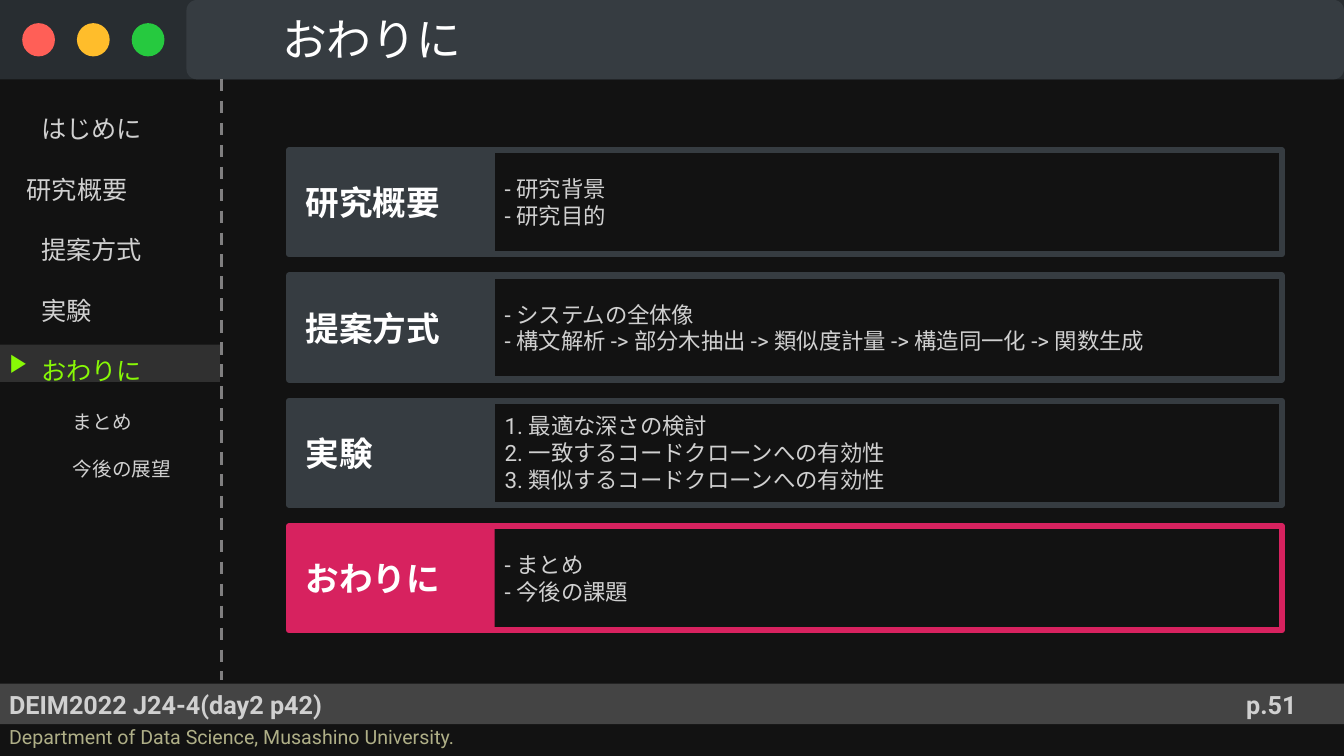
from dataclasses import dataclass
from typing import Optional

from pptx import Presentation
from pptx.dml.color import RGBColor
from pptx.enum.dml import MSO_LINE
from pptx.enum.shapes import MSO_CONNECTOR, MSO_SHAPE
from pptx.enum.text import MSO_ANCHOR, PP_ALIGN
from pptx.oxml.ns import qn
from pptx.util import Inches, Pt
from lxml.etree import SubElement


@dataclass(frozen=True)
class Theme:
    font: str = "Roboto"
    background: str = "121212"
    header: str = "282D31"
    panel: str = "363C41"
    footer: str = "444444"
    highlight: str = "303030"
    divider: str = "807F80"
    text: str = "D0D0D0"
    white: str = "FFFFFF"
    active: str = "88F906"
    accent: str = "D7225F"
    affiliation: str = "AFAF87"
    dots: tuple[str, ...] = ("FF5F57", "FFBD2B", "26C93F")
    title_size: int = 32
    label_size: int = 24
    main_size: int = 18
    body_size: int = 16
    small_size: int = 14


@dataclass(frozen=True)
class Box:
    """A place on the grid, in columns and rows."""
    column: float
    row: float
    columns: float
    rows: float


@dataclass(frozen=True)
class Line:
    """One paragraph; the indent is in columns."""
    text: str
    size: int
    color: str
    bold: bool = False
    indent: float = 0
    level: int = 0
    spacing: Optional[float] = None
    align: PP_ALIGN = PP_ALIGN.LEFT


@dataclass(frozen=True)
class Section:
    name: str
    points: tuple[str, ...]
    color: str
    outline: Optional[float] = 1


theme = Theme()
presentation = Presentation()
presentation.slide_width, presentation.slide_height = Inches(13.33), Inches(7.5)
slide = presentation.slides.add_slide(presentation.slide_layouts[6])
GRID_COLUMNS, GRID_ROWS = 160, 90


def across(columns: float) -> int:
    return round(presentation.slide_width * columns / GRID_COLUMNS)


def down(rows: float) -> int:
    return round(presentation.slide_height * rows / GRID_ROWS)


def place(box: Box) -> tuple[int, int, int, int]:
    return across(box.column), down(box.row), across(box.columns), down(box.rows)


def color_of(value: str) -> RGBColor:
    return RGBColor.from_string(value)


def write(shape, lines: list[Line], anchor: MSO_ANCHOR) -> None:
    frame = shape.text_frame
    frame.word_wrap = True
    frame.vertical_anchor = anchor
    for number, line in enumerate(lines):
        paragraph = frame.add_paragraph() if number else frame.paragraphs[0]
        paragraph.text = line.text
        paragraph.alignment = line.align
        paragraph.level = line.level
        if line.spacing:
            paragraph.line_spacing = line.spacing
        paragraph.font.name = theme.font
        paragraph.font.size = Pt(line.size)
        paragraph.font.bold = line.bold
        paragraph.font.color.rgb = color_of(line.color)
        properties = paragraph._p.get_or_add_pPr()
        properties.set("marL", str(across(line.indent)))
        properties.set("indent", "0")


def add_text(box: Box, lines: list[Line], anchor: MSO_ANCHOR = MSO_ANCHOR.TOP) -> None:
    write(slide.shapes.add_textbox(*place(box)), lines, anchor)


def add_block(box: Box, fill: Optional[str] = None, outline: Optional[str] = None,
              width: Optional[float] = None, kind: MSO_SHAPE = MSO_SHAPE.RECTANGLE):
    shape = slide.shapes.add_shape(kind, *place(box))
    shape.shadow.inherit = False
    if fill:
        shape.fill.solid()
        shape.fill.fore_color.rgb = color_of(fill)
    else:
        shape.fill.background()
    if outline and width:
        shape.line.color.rgb = color_of(outline)
        shape.line.width = Pt(width)
    else:
        shape.line.fill.background()
    return shape


def add_section(section: Section, row: float) -> None:
    height = 12.36
    add_block(Box(34.4, row, 118.2, height), outline=section.color, width=4.5)
    label = add_block(Box(34.2, row, 24.7, height), section.color, section.color, section.outline)
    write(label, [Line(section.name, theme.label_size, theme.white, True, 1)], MSO_ANCHOR.MIDDLE)
    body = add_block(Box(58.9, row, 93.4, height), outline=section.color, width=section.outline)
    write(body, [Line(point, theme.body_size, theme.text) for point in section.points],
          MSO_ANCHOR.MIDDLE)


# Background, footer and window bar
slide.background.fill.solid()
slide.background.fill.fore_color.rgb = color_of(theme.background)
add_block(Box(0, 81.4, 160, 4.8), theme.footer)
add_block(Box(0, 0, 160, 9.45), theme.header)
for number, dot_color in enumerate(theme.dots):
    add_block(Box(2.64 + 6.52 * number, 2.76, 3.9, 3.96), dot_color, kind=MSO_SHAPE.OVAL)
tab = add_block(Box(22.2, 0, 137.8, 9.45), theme.panel, kind=MSO_SHAPE.ROUNDED_RECTANGLE)
tab.adjustments[0] = 0.13

# Dashed divider
divider = slide.shapes.add_connector(
    MSO_CONNECTOR.STRAIGHT, across(26.4), down(9.4), across(26.4), down(81))
divider.line.color.rgb = color_of(theme.divider)
divider.line.width = Pt(2.25)
divider.line.dash_style = MSO_LINE.DASH
SubElement(divider._element.spPr, qn("a:effectLst"))

# Footer text
add_text(Box(-0.1, 81.5, 80.2, 4.8),
         [Line("DEIM2022 J24-4(day2 p42)", theme.main_size, theme.text, True)])
add_text(Box(-0.1, 85.7, 80.2, 4.1),
         [Line("Department of Data Science, Musashino University.",
               theme.small_size, theme.affiliation)])
add_text(Box(142.6, 81.5, 17.5, 4.8),
         [Line("p.51", theme.main_size, theme.text, True, align=PP_ALIGN.CENTER)],
         MSO_ANCHOR.MIDDLE)

# Sidebar outline
add_block(Box(0, 41.04, 26.2, 4.44), theme.highlight)
chapters = [("はじめに", 3.7), ("研究概要", 2), ("提案方式", 3.7), ("実験", 3.7)]
outline = [Line(name, theme.main_size, theme.text, indent=indent, spacing=2.0)
           for name, indent in chapters]
outline.append(Line("おわりに", theme.main_size, theme.active, indent=3.7, spacing=2.0))
outline += [Line(name, theme.small_size, theme.text, indent=7.5, spacing=2.0)
            for name in ("まとめ", "今後の展望")]
add_text(Box(0, 9.36, 26.4, 71.64), outline)
add_text(Box(0, 40.6, 5.5, 4.8), [Line("▶︎", theme.main_size, theme.active)])

# Section summaries
sections = [
    Section("研究概要", ("- 研究背景", "- 研究目的"), theme.panel),
    Section("提案方式", ("- システムの全体像",
                     "- 構文解析 -> 部分木抽出 -> 類似度計量 -> 構造同一化 -> 関数生成"), theme.panel),
    Section("実験", ("1. 最適な深さの検討", "2. 一致するコードクローンへの有効性",
                   "3. 類似するコードクローンへの有効性"), theme.panel),
    Section("おわりに", ("- まとめ", "- 今後の課題"), theme.accent, None),
]
for number, section in enumerate(sections):
    add_section(section, 17.9 + 14.92 * number)

# Title
add_text(Box(26.4, 0.7, 133.6, 7.7),
         [Line("おわりに", theme.title_size, theme.white, indent=6, level=1)], MSO_ANCHOR.MIDDLE)

presentation.save("out.pptx")
